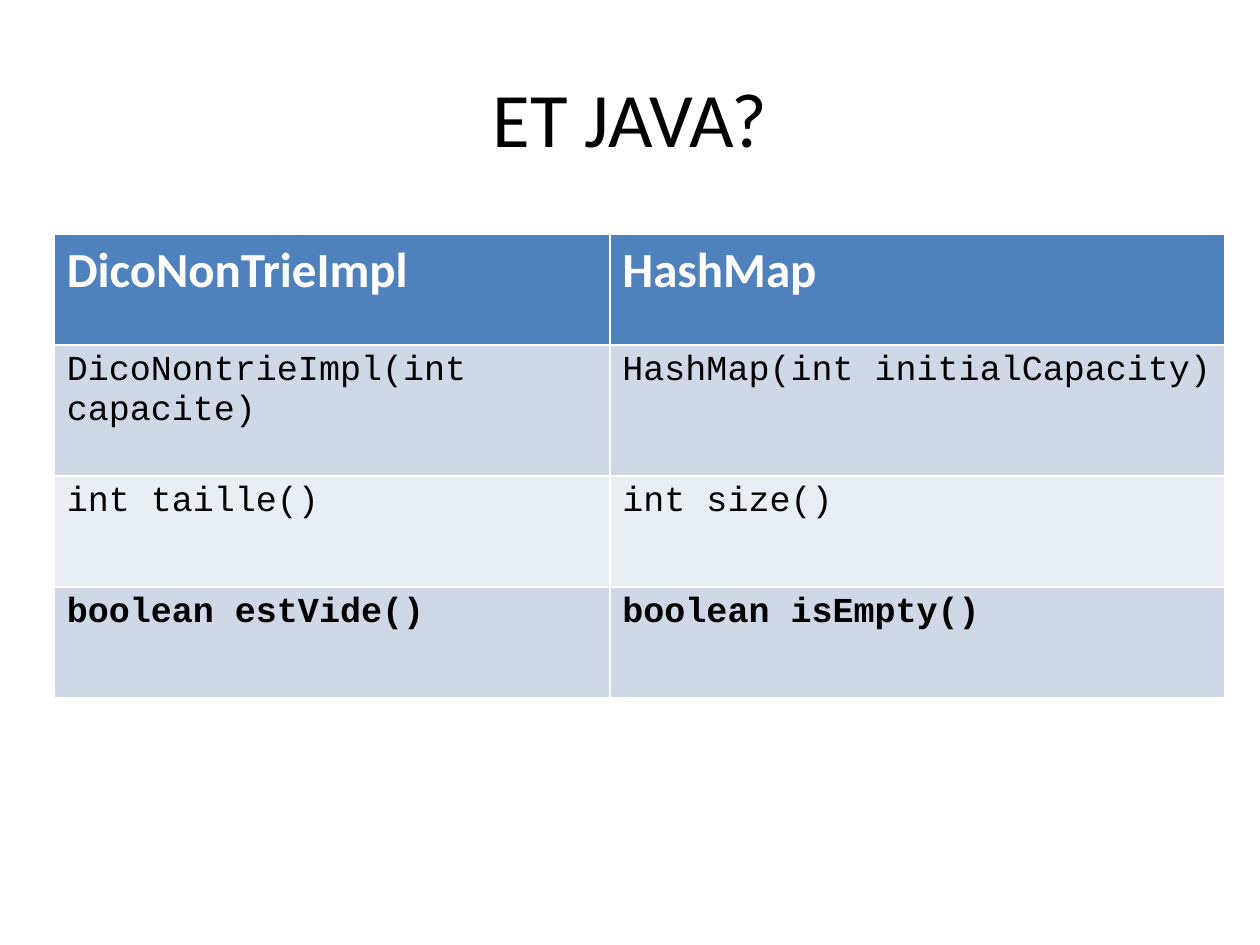
from pptx import Presentation
from pptx import util as u
from pptx.dml.color import RGBColor
from pptx.enum import text

WIDTH, HEIGHT = 10, 7.5


def colour(hex_string):
    return RGBColor.from_string(hex_string)


class Deck:
    """Holds the style and the current slide."""
    sans, mono = "Calibri", "Courier New"
    ink, paper, header = "000000", "FFFFFF", "4F81BD"
    bands = ("D0D8E8", "E9EDF4")

    def __init__(self):
        self.prs = Presentation()
        self.prs.slide_width = u.Inches(WIDTH)
        self.prs.slide_height = u.Inches(HEIGHT)
        self.s = self.prs.slides.add_slide(self.prs.slide_layouts[5])

    def box(self, x, y, w, h):
        """Turns shares of the slide's size into lengths."""
        return [u.Inches(v) for v in (x * WIDTH, y * HEIGHT, w * WIDTH, h * HEIGHT)]

    def set_text(self, tf, words, size, font, ink, bold=False):
        tf.text = words
        for r in tf.paragraphs[0].runs:
            r.font.size, r.font.name, r.font.bold = u.Pt(size), font, bold
            r.font.color.rgb = colour(ink)

    def title(self, words, *place):
        sp = self.s.shapes.title
        sp.left, sp.top, sp.width, sp.height = self.box(*place)
        tf = sp.text_frame
        tf.vertical_anchor = text.MSO_ANCHOR.MIDDLE
        self.set_text(tf, words, 44, self.sans, self.ink)
        tf.paragraphs[0].alignment = text.PP_ALIGN.CENTER

    def table(self, rows, x, y, widths, heights, bold_rows=()):
        place = self.box(x, y, sum(widths), sum(heights))
        tbl = self.s.shapes.add_table(len(rows), len(widths), *place).table
        for col, w in zip(tbl.columns, widths):
            col.width = u.Inches(w * WIDTH)
        for i, (row, h) in enumerate(zip(rows, heights)):
            tbl.rows[i].height = u.Inches(h * HEIGHT)
            for j, words in enumerate(row):
                cell = tbl.cell(i, j)
                cell.fill.solid()
                if i == 0:
                    fill, style = self.header, (28, self.sans, self.paper, True)
                else:
                    fill = self.bands[(i - 1) % 2]
                    style = (20, self.mono, self.ink, i in bold_rows)
                cell.fill.fore_color.rgb = colour(fill)
                self.set_text(cell.text_frame, words, *style)


def main():
    deck = Deck()

    # Title
    deck.title("ET JAVA?", 0.05, 0.04, 0.9, 1 / 6)

    # Method comparison: the constructor row is taller than the others
    row, tall = 0.88 / HEIGHT, 1.04 / HEIGHT
    methods = [
        ("DicoNonTrieImpl", "HashMap"),
        ("DicoNontrieImpl(int capacite)", "HashMap(int initialCapacity)"),
        ("int taille()", "int size()"),
        ("boolean estVide()", "boolean isEmpty()"),
    ]
    deck.table(methods, 0.043, 0.248, (0.441, 0.488), (row, tall, row, row),
               bold_rows=(3,))

    deck.prs.save("out.pptx")


if __name__ == "__main__":
    main()
